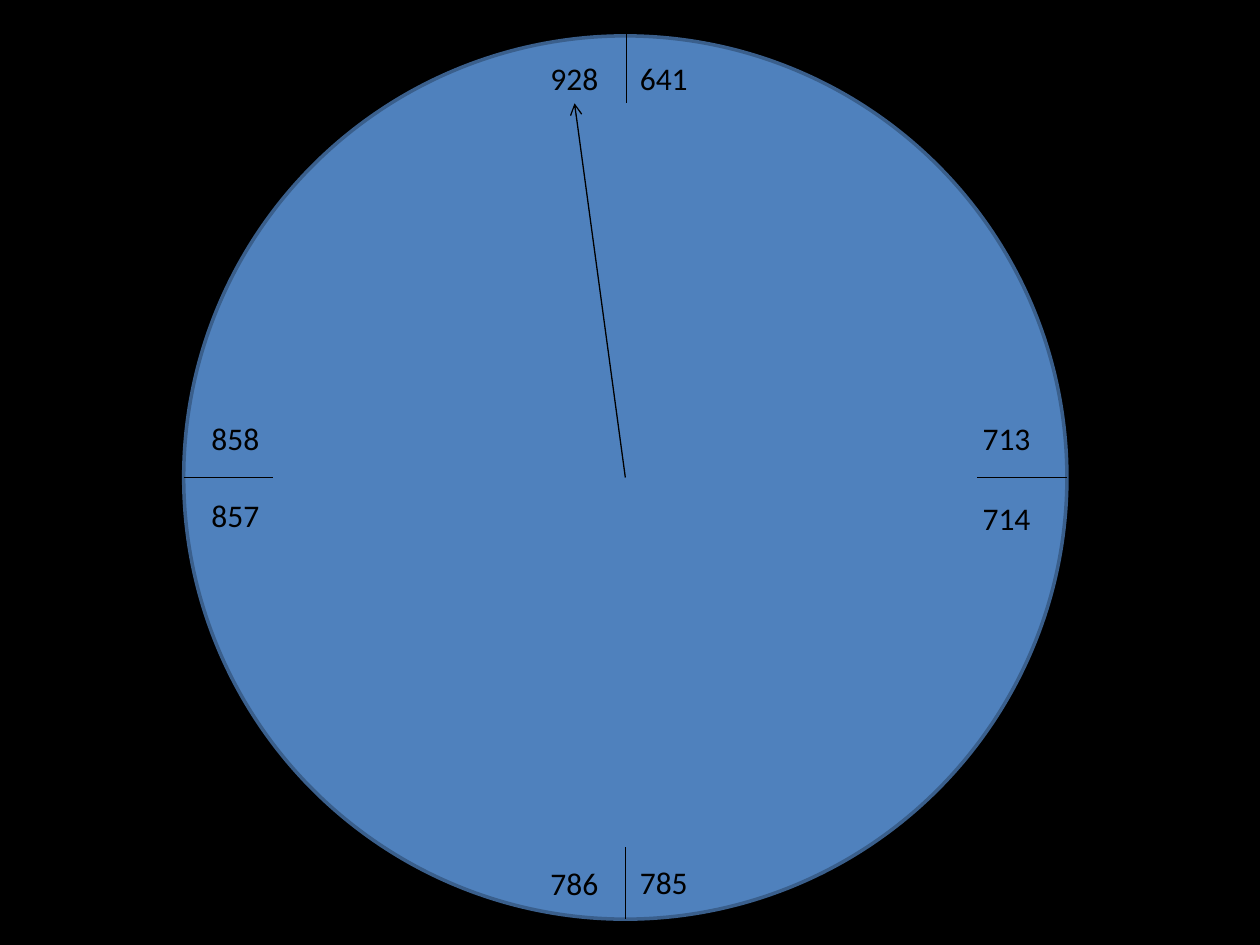
from lxml import etree
from pptx import Presentation
from pptx.dml.color import RGBColor
from pptx.enum.shapes import MSO_CONNECTOR, MSO_SHAPE
from pptx.enum.text import MSO_AUTO_SIZE
from pptx.oxml.ns import qn
from pptx.util import Inches, Pt

BLACK = RGBColor(0x00, 0x00, 0x00)
DIAL_BLUE = RGBColor(0x4F, 0x81, 0xBD)
RIM_BLUE = RGBColor(0x3A, 0x5F, 0x8C)

prs = Presentation()
prs.slide_width, prs.slide_height = Inches(10), Inches(7.5)
slide = prs.slides.add_slide(prs.slide_layouts[6])
slide.background.fill.solid()
slide.background.fill.fore_color.rgb = BLACK

CELL = prs.slide_width / 100
CENTER_X, CENTER_Y, RADIUS = 49.63, 37.9, 35.05


def cells(*counts):
    return [round(count * CELL) for count in counts]


def add_stroke(start, end):
    stroke = slide.shapes.add_connector(MSO_CONNECTOR.STRAIGHT, *cells(*start, *end))
    stroke.line.color.rgb = BLACK
    stroke.line.width = Pt(0.75)
    etree.SubElement(stroke._element.spPr, qn("a:effectLst"))
    return stroke


dial = slide.shapes.add_shape(
    MSO_SHAPE.OVAL,
    *cells(CENTER_X - RADIUS, CENTER_Y - RADIUS, 2 * RADIUS, 2 * RADIUS))
dial.shadow.inherit = False
dial.fill.solid()
dial.fill.fore_color.rgb = DIAL_BLUE
dial.line.color.rgb = RIM_BLUE
dial.line.width = Pt(2)

LEFT, RIGHT = CENTER_X - RADIUS, CENTER_X + RADIUS
TOP, BOTTOM = CENTER_Y - RADIUS, CENTER_Y + RADIUS
SIDE_TICK, POLE_TICK = 7.1, 5.7
ticks = [
    ((49.75, 2.5), (49.75, 2.5 + POLE_TICK)),
    ((CENTER_X, BOTTOM - POLE_TICK), (CENTER_X, BOTTOM)),
    ((RIGHT - SIDE_TICK, CENTER_Y), (RIGHT, CENTER_Y)),
    ((LEFT, CENTER_Y), (LEFT + SIDE_TICK, CENTER_Y)),
]
for start, end in ticks:
    add_stroke(start, end)

numbers = [
    ("928", 42.7, 4.2), ("641", 49.8, 4.2),
    ("786", 42.7, 68.1), ("785", 49.8, 68),
    ("858", 15.8, 32.8), ("857", 15.8, 38.9),
    ("713", 77, 32.8), ("714", 77, 39.1),
]
for number, x, y in numbers:
    label = slide.shapes.add_textbox(*cells(x, y, 5.9, 4)).text_frame
    label.word_wrap = False
    label.auto_size = MSO_AUTO_SIZE.SHAPE_TO_FIT_TEXT
    label.text = number
    font = label.paragraphs[0].font
    font.name, font.size = "Calibri", Pt(18)
    font.color.rgb = BLACK

pointer = add_stroke((CENTER_X, CENTER_Y), (45.6, 8.2))
etree.SubElement(pointer.line._get_or_add_ln(), qn("a:tailEnd"), type="arrow")

prs.save("out.pptx")
